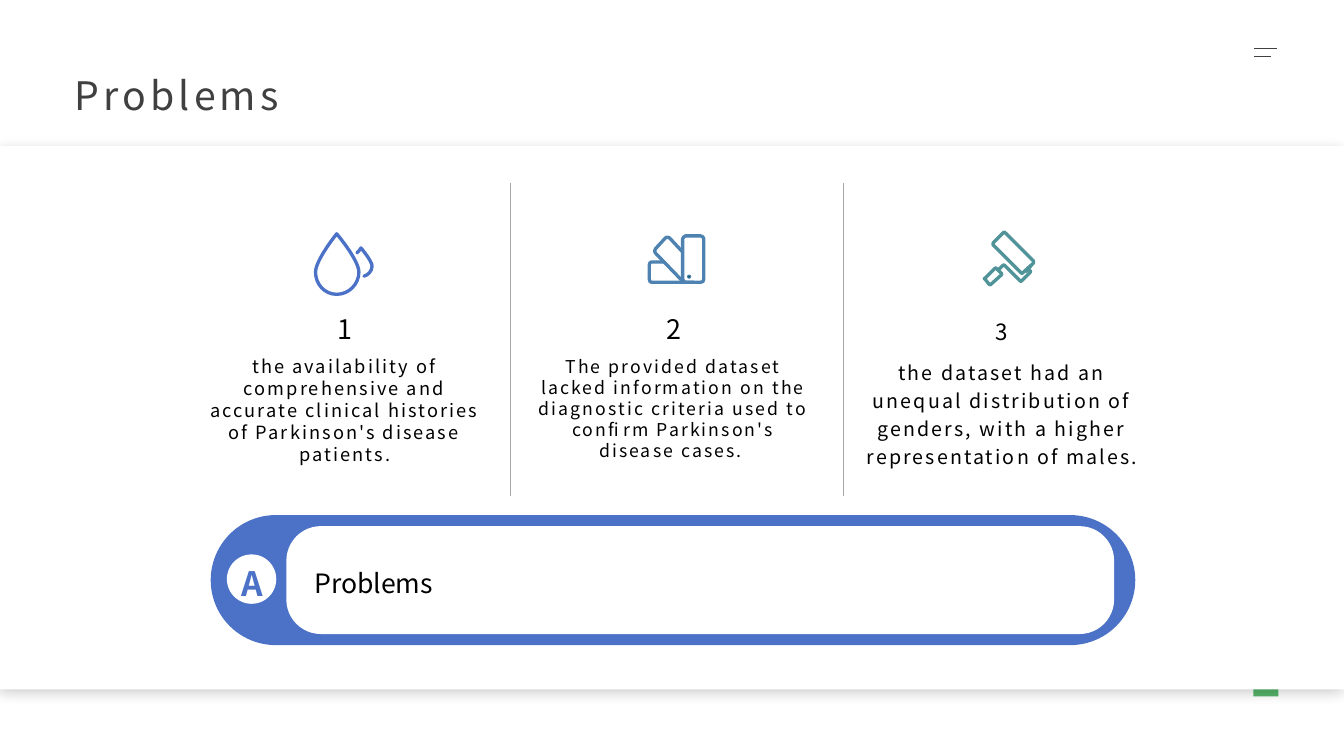
from lxml.etree import SubElement
from pptx import Presentation
from pptx.dml.color import RGBColor
from pptx.enum.shapes import MSO_CONNECTOR, MSO_SHAPE
from pptx.enum.text import MSO_ANCHOR, PP_ALIGN
from pptx.oxml.ns import qn
from pptx.util import Inches, Pt

FONT = "Noto Sans CJK SC"
LINE_HEIGHT = 1.2
C = {"white": "FFFFFF", "black": "000000", "dark": "404040", "grey": "A6A6A6",
     "shadow": "0D0D0D", "green": "55B469", "blue": "4C72C7", "steel": "4E82B0",
     "teal": "509399", "dot": "03595D"}

# Columns: left, number, number size, statement, statement size, line spacing
COLUMNS = [
    (1.94, "1", 19.2, "the availability of comprehensive and accurate clinical "
     "histories of Parkinson's disease patients.", 13, 1),
    (5.2, "2", 19.2, "The provided dataset lacked information on the diagnostic "
     "criteria used to confirm Parkinson's disease cases. ", 12.6, 1),
    (8.46, "3", 16, "the dataset had an unequal distribution of genders, with a "
     "higher representation of males.", 14, 1.2),
]

# Icon outlines: colour, closed, steps (2 numbers: a point, 6 numbers: a curve)
ICONS = [
    # Water drops
    ("blue", True, [(3.56, 2.7), (3.56, 2.82, 3.46, 2.92, 3.34, 2.92),
                    (3.22, 2.92, 3.13, 2.82, 3.13, 2.7),
                    (3.13, 2.58, 3.34, 2.32, 3.34, 2.32),
                    (3.34, 2.32, 3.56, 2.58, 3.56, 2.7)]),
    ("blue", False, [(3.54, 2.51), (3.57, 2.48, 3.58, 2.46, 3.58, 2.46),
                     (3.58, 2.46, 3.69, 2.59, 3.69, 2.64),
                     (3.69, 2.69, 3.65, 2.73, 3.61, 2.74)]),
    # Colour swatches
    ("steel", False, [(6.59, 2.6), (6.46, 2.6), (6.45, 2.6, 6.44, 2.61, 6.44, 2.63),
                      (6.44, 2.77), (6.44, 2.79, 6.45, 2.8, 6.46, 2.8), (6.88, 2.8)]),
    ("steel", False, [(6.77, 2.5), (6.64, 2.36), (6.63, 2.35, 6.61, 2.35, 6.6, 2.36),
                      (6.5, 2.47), (6.49, 2.48, 6.49, 2.5, 6.5, 2.51), (6.78, 2.8)]),
    ("steel", True, [(6.95, 2.8), (6.97, 2.8, 6.98, 2.79, 6.98, 2.77), (6.98, 2.37),
                     (6.98, 2.36, 6.97, 2.34, 6.95, 2.34), (6.8, 2.34),
                     (6.79, 2.34, 6.77, 2.36, 6.77, 2.37), (6.77, 2.77),
                     (6.77, 2.79, 6.79, 2.8, 6.8, 2.8)]),
    # Paint roller
    ("teal", True, [(10.14, 2.71), (10.13, 2.71), (9.85, 2.43),
                    (9.84, 2.42, 9.84, 2.42, 9.85, 2.41), (9.95, 2.31),
                    (9.95, 2.3, 9.96, 2.3, 9.97, 2.31), (10.25, 2.59),
                    (10.25, 2.59, 10.25, 2.6, 10.25, 2.61)]),
    ("teal", False, [(10.19, 2.66), (10.22, 2.69), (10.22, 2.7), (10.13, 2.79),
                     (10.12, 2.79), (9.96, 2.63), (9.95, 2.63), (9.9, 2.68)]),
    ("teal", True, [(9.83, 2.82), (9.83, 2.83, 9.82, 2.83, 9.81, 2.82), (9.77, 2.77),
                    (9.76, 2.77, 9.76, 2.76, 9.77, 2.76), (9.87, 2.66), (9.88, 2.66),
                    (9.93, 2.71), (9.94, 2.71, 9.94, 2.72, 9.93, 2.73)]),
]

# Straight lines: from x, from y, to x, to y, colour, width
LINES = [
    (12.44, 0.48, 12.67, 0.48, "dark", 1.25),
    (12.44, 0.56, 12.61, 0.56, "dark", 1.25),
    (5.06, 1.82, 5.06, 4.92, "grey", 0.5),
    (8.36, 1.82, 8.36, 4.92, "grey", 0.5),
    (10.23, 2.63, 10.17, 2.7, "teal", 2.38),
]

prs = Presentation()
prs.slide_width, prs.slide_height = Inches(13.33), Inches(7.5)
s = prs.slides.add_slide(prs.slide_layouts[6])


def rgb(name):
    return RGBColor.from_string(C[name])


def add_block(kind, box, fill, adj=None):
    sp = s.shapes.add_shape(kind, *map(Inches, box))
    sp.shadow.inherit = False
    sp.fill.solid()
    sp.fill.fore_color.rgb = rgb(fill)
    sp.line.fill.background()
    if adj is not None:
        sp.adjustments[0] = adj
    return sp


def add_text(box, text, size, color="black", align=PP_ALIGN.CENTER, spacing=1,
             anchor=MSO_ANCHOR.TOP, tracking=0, bold=False, insets=(0.1, 0.05)):
    tf = s.shapes.add_textbox(*map(Inches, box)).text_frame
    tf.word_wrap = True
    tf.vertical_anchor = anchor
    tf.margin_left = tf.margin_right = Inches(insets[0])
    tf.margin_top = tf.margin_bottom = Inches(insets[1])
    p = tf.paragraphs[0]
    p.text = text
    p.alignment = align
    p.line_spacing = Pt(round(size * LINE_HEIGHT * spacing, 1))
    r = p.runs[0]
    r.font.name, r.font.size, r.font.bold = FONT, Pt(size), bold
    r.font.color.rgb = rgb(color)
    rPr = r.font._element
    rPr.set("spc", str(int(tracking * 100)))
    SubElement(rPr, qn("a:ea")).set("typeface", FONT)


def add_line(x1, y1, x2, y2, color, width):
    ln = s.shapes.add_connector(MSO_CONNECTOR.STRAIGHT, *map(Inches, (x1, y1, x2, y2)))
    ln.line.color.rgb = rgb(color)
    ln.line.width = Pt(width)
    SubElement(ln._element.spPr, qn("a:effectLst"))


def add_outline(color, closed, steps):
    points = [(Inches(step[i]), Inches(step[i + 1]))
              for step in steps for i in range(0, len(step), 2)]
    builder = s.shapes.build_freeform(*points[0], scale=1.0)
    builder.add_line_segments(points[1:], close=closed)
    sp = builder.convert_to_shape()
    # Join each curve's three points into one cubic segment
    segments = iter(list(sp._element.iter(qn("a:lnTo"))))
    for step in steps[1:]:
        segment = next(segments)
        if len(step) == 6:
            segment.tag = qn("a:cubicBezTo")
            for extra in (next(segments), next(segments)):
                segment.append(extra[0])
                extra.getparent().remove(extra)
    sp.shadow.inherit = False
    sp.fill.background()
    sp.line.color.rgb = rgb(color)
    sp.line.width = Pt(2.38)
    ln = sp.line._get_or_add_ln()
    ln.set("cap", "rnd")
    SubElement(ln, qn("a:round"))


# Green tab and white panel with a soft shadow
add_block(MSO_SHAPE.RECTANGLE, (12.43, 6.66, 0.25, 0.25), "green")
panel = add_block(MSO_SHAPE.RECTANGLE, (0, 1.45, 13.33, 5.39), "white")
effects = panel._element.spPr.find(qn("a:effectLst"))
shadow = SubElement(effects, qn("a:outerShdw"), blurRad=str(Pt(10)), dist=str(Pt(3)),
                    dir="5400000", algn="t", rotWithShape="0")
tint = SubElement(shadow, qn("a:srgbClr"), val=C["shadow"])
SubElement(tint, qn("a:alpha"), val="20000")

# Title
add_text((0.66, 0.67, 12, 0.62), "Problems", 28, "dark", PP_ALIGN.LEFT,
         tracking=3, insets=(0.08, 0.04))

# Menu mark, dividers and icons
for line in LINES:
    add_line(*line)
for icon in ICONS:
    add_outline(*icon)
dot = add_block(MSO_SHAPE.OVAL, (6.82, 2.73, 0.03, 0.03), "dot")
dot.line.color.rgb = rgb("steel")
dot.line.width = Pt(0.75)

# Three numbered statements
for left, number, number_size, statement, size, spacing in COLUMNS:
    add_text((left, 3.48, 2.96, 1.25), statement, size, spacing=spacing, tracking=1.5)
    add_text((left, 3.06, 2.96, 0.4), number, number_size, spacing=spacing,
             anchor=MSO_ANCHOR.MIDDLE, tracking=3)

# Banner with lettered badge
add_block(MSO_SHAPE.ROUNDED_RECTANGLE, (2.09, 5.11, 9.17, 1.29), "blue", 0.5)
add_block(MSO_SHAPE.ROUNDED_RECTANGLE, (2.84, 5.22, 8.21, 1.07), "white", 0.32)
add_text((3.02, 5.31, 7.79, 0.89), "Problems", 19, align=PP_ALIGN.LEFT, spacing=1.2,
         anchor=MSO_ANCHOR.MIDDLE)
add_block(MSO_SHAPE.OVAL, (2.25, 5.5, 0.49, 0.49), "white")
add_text((2.15, 5.46, 0.7, 0.56), "A", 24, "blue", spacing=1.2,
         anchor=MSO_ANCHOR.MIDDLE, bold=True)

prs.save("out.pptx")
